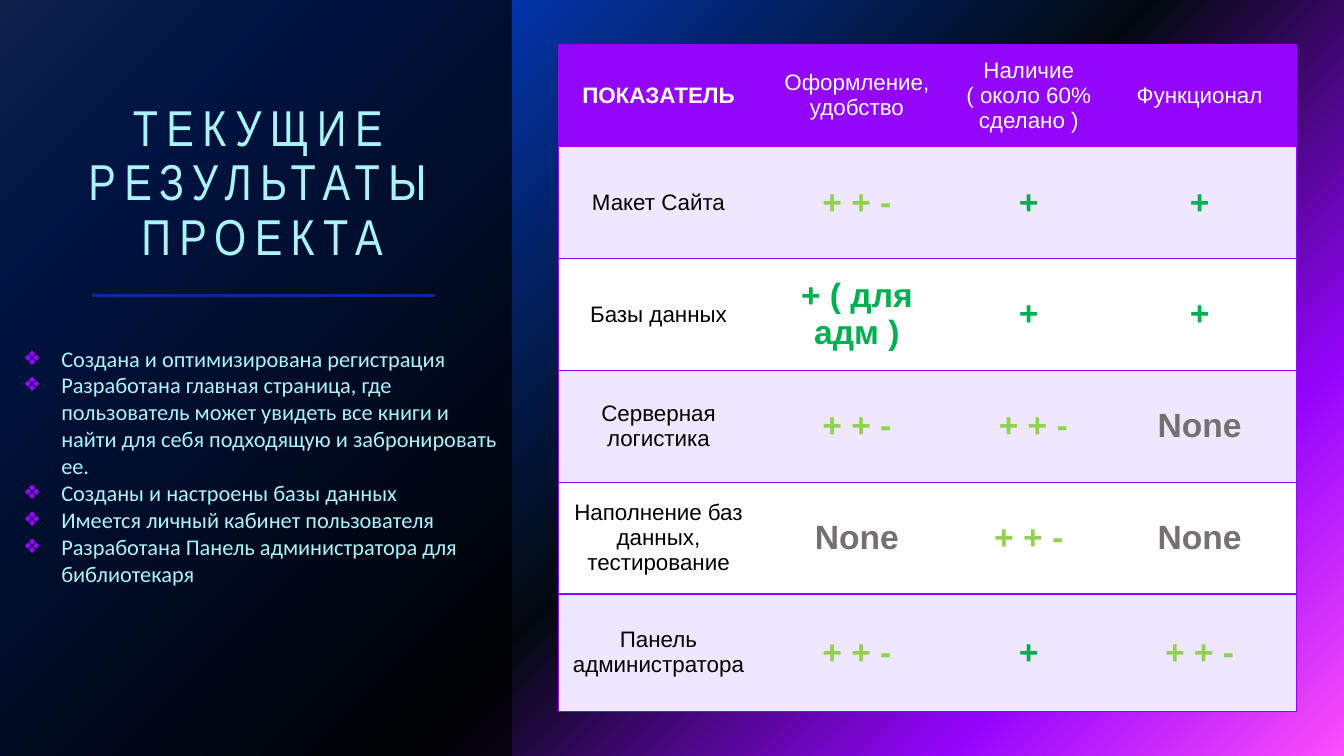
"""Build the slide with the current results of the project."""
from dataclasses import dataclass

from lxml import etree
from pptx import Presentation
from pptx.dml.color import RGBColor
from pptx.enum.shapes import MSO_CONNECTOR, MSO_SHAPE
from pptx.enum.text import MSO_ANCHOR, MSO_AUTO_SIZE, PP_ALIGN
from pptx.oxml.ns import qn
from pptx.util import Cm, Pt

CENTER, LEFT = PP_ALIGN.CENTER, PP_ALIGN.LEFT
TOP, MIDDLE, BOTTOM = MSO_ANCHOR.TOP, MSO_ANCHOR.MIDDLE, MSO_ANCHOR.BOTTOM
NO_FIT = MSO_AUTO_SIZE.NONE
RECTANGLE, STRAIGHT = MSO_SHAPE.RECTANGLE, MSO_CONNECTOR.STRAIGHT

TITLE_LINES = ["ТЕКУЩИЕ РЕЗУЛЬТАТЫ", "ПРОЕКТА"]
ACHIEVEMENTS = [
    "Создана и оптимизирована регистрация",
    "Разработана главная страница, где пользователь может увидеть все книги "
    "и найти для себя подходящую и забронировать ее.",
    "Созданы и настроены базы данных",
    "Имеется личный кабинет пользователя",
    "Разработана Панель администратора для библиотекаря",
]
RESULTS = [
    ("ПОКАЗАТЕЛЬ", "Оформление, удобство", "Наличие ( около 60% сделано )", "Функционал"),
    ("Макет Сайта", "+ + -", "+", "+"),
    ("Базы данных", "+ ( для адм )", "+", "+"),
    ("Серверная логистика", "+ + -", " + + -", "None"),
    ("Наполнение баз данных, тестирование", "None", "+ + -", "None"),
    ("Панель администратора", "+ + -", "+", "+ + -"),
]
COLUMN_WIDTHS = [5.05, 4.95, 3.71, 4.9]
ROW_HEIGHTS = [2.57] + [2.82] * 4 + [2.95]
BACKDROP = [(0, "316CFC"), (14, "0343DF"), (55, "02090E"), (81, "9405FC"), (100, "FC4EFB")]


@dataclass(frozen=True)
class Theme:
    """Colours, fonts and type sizes of the slide."""
    black: str = "000000"
    white: str = "FFFFFF"
    violet: str = "9405FC"
    lavender: str = "EEE7FE"
    ice: str = "ABF3FB"
    rule: str = "022D94"
    done: str = "00B050"
    partial: str = "92D050"
    missing: str = "767171"
    title_font: str = "Arial Narrow"
    list_font: str = "Calibri"
    table_font: str = "Arial"
    title_size: int = 36
    text_size: int = 16
    mark_size: int = 24


THEME = Theme()


def add_run(paragraph, text, font, size, color, bold=False):
    """Append a formatted run and return it."""
    run = paragraph.add_run()
    run.text = text
    run.font.name, run.font.size, run.font.bold = font, Pt(size), bold
    run.font.color.rgb = RGBColor.from_string(color)
    return run


def add_color(parent, color):
    """Append an RGB colour element."""
    return etree.SubElement(parent, qn("a:srgbClr"), val=color)


def paint_backdrop(slide):
    """Fill the background with the diagonal gradient."""
    fill = slide.background.fill
    fill.gradient()
    fill.gradient_angle = 315
    stops = next(slide._element.iter(qn("a:gsLst")))
    for stop in list(stops):
        stops.remove(stop)
    for position, color in BACKDROP:
        add_color(etree.SubElement(stops, qn("a:gs"), pos=str(position * 1000)), color)


def add_panel(slide):
    """Put the dark side panel and the title rule behind the text."""
    panel = slide.shapes.add_shape(RECTANGLE, 0, 0, Cm(12.9), Cm(19.05))
    panel.shadow.inherit = False
    panel.fill.solid()
    panel.fill.fore_color.rgb = RGBColor.from_string(THEME.black)
    panel.line.fill.background()
    shade = next(panel._element.spPr.iter(qn("a:srgbClr")))
    etree.SubElement(shade, qn("a:alpha"), val="70000")

    rule = slide.shapes.add_connector(STRAIGHT, Cm(2.31), Cm(7.44), Cm(10.97), Cm(7.44))
    rule.line.color.rgb = RGBColor.from_string(THEME.rule)
    rule.line.width = Pt(2)
    etree.SubElement(rule._element.spPr, qn("a:effectLst"))
    for depth, backing in enumerate((panel, rule), start=2):
        slide.shapes._spTree.insert(depth, backing._element)


def place(holder, left, top, width, height, anchor):
    """Move a placeholder and return its text frame."""
    holder.left, holder.top, holder.width, holder.height = map(Cm, (left, top, width, height))
    frame = holder.text_frame
    frame.word_wrap, frame.auto_size, frame.vertical_anchor = True, NO_FIT, anchor
    return frame


def fill_title(holder):
    """Write the spaced-out title."""
    heading = place(holder, 0.84, 0.71, 11.53, 6.12, BOTTOM).paragraphs[0]
    heading.alignment, heading.line_spacing = CENTER, 0.9
    for index, line in enumerate(TITLE_LINES):
        if index:
            heading.add_line_break()
        run = add_run(heading, line, THEME.title_font, THEME.title_size, THEME.ice)
        run._r.get_or_add_rPr().set("spc", "600")


def fill_achievements(holder):
    """Write the bulleted list."""
    frame = place(holder, 0.33, 8.56, 12.45, 10.49, TOP)
    for index, achievement in enumerate(ACHIEVEMENTS):
        item = frame.add_paragraph() if index else frame.paragraphs[0]
        item.alignment, item.line_spacing = LEFT, 1.0
        item.space_before = item.space_after = Pt(0)
        properties = item._p.get_or_add_pPr()
        properties.set("marL", str(Cm(0.96)))
        properties.set("indent", str(-Cm(0.96)))
        add_color(etree.SubElement(properties, qn("a:buClr")), THEME.violet)
        etree.SubElement(properties, qn("a:buSzPct"), val="90000")
        etree.SubElement(properties, qn("a:buChar"), char="❖")
        add_run(item, achievement, THEME.list_font, THEME.text_size, THEME.ice)


def set_borders(cell, visible):
    """Draw the visible sides of a cell and clear the others."""
    properties = cell._tc.get_or_add_tcPr()
    for position, side in enumerate("LRTB"):
        border = etree.Element(qn(f"a:ln{side}"), w=str(Pt(0.96)))
        if side in visible:
            add_color(etree.SubElement(border, qn("a:solidFill")), THEME.violet)
        else:
            etree.SubElement(border, qn("a:noFill"))
        properties.insert(position, border)


def mark_color(mark):
    """Return the colour that tells how complete a mark is."""
    if mark == "None":
        return THEME.missing
    return THEME.partial if "-" in mark else THEME.done


def add_results(slide):
    """Add the table of results."""
    last = len(COLUMN_WIDTHS) - 1
    table = slide.shapes.add_table(
        len(RESULTS), len(COLUMN_WIDTHS), Cm(14.07), Cm(1.12),
        Cm(sum(COLUMN_WIDTHS)), Cm(sum(ROW_HEIGHTS))).table
    for column, width in zip(table.columns, COLUMN_WIDTHS):
        column.width = Cm(width)
    for r, (indicator, height) in enumerate(zip(RESULTS, ROW_HEIGHTS)):
        table.rows[r].height = Cm(height)
        band = THEME.violet if r == 0 else THEME.lavender if r % 2 else THEME.white
        for c, value in enumerate(indicator):
            cell = table.cell(r, c)
            cell.vertical_anchor = MIDDLE
            cell.fill.solid()
            cell.fill.fore_color.rgb = RGBColor.from_string(band)
            set_borders(cell, "TB" + "L" * (c == 0) + "R" * (c == last))
            if r == 0:
                style = THEME.text_size, THEME.white, c == 0
            elif c == 0:
                style = THEME.text_size, THEME.black, False
            else:
                style = THEME.mark_size, mark_color(value), True
            paragraph = cell.text_frame.paragraphs[0]
            paragraph.alignment = CENTER
            add_run(paragraph, value, THEME.table_font, *style)


def main():
    """Compose and save the slide."""
    deck = Presentation()
    deck.slide_width, deck.slide_height = Cm(33.87), Cm(19.05)
    slide = deck.slides.add_slide(deck.slide_layouts[1])
    paint_backdrop(slide)
    add_panel(slide)
    fill_title(slide.shapes.title)
    fill_achievements(slide.placeholders[1])
    add_results(slide)
    deck.save("out.pptx")


if __name__ == "__main__":
    main()
